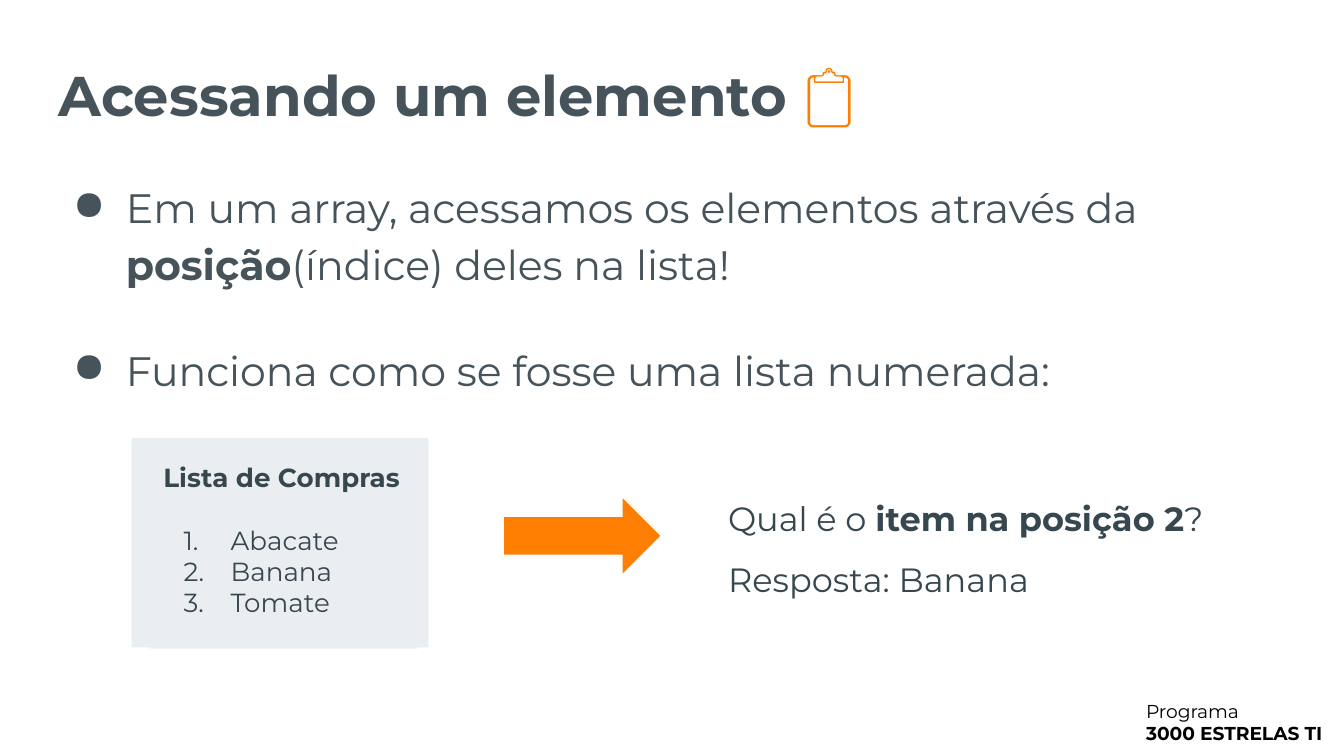
import pptx
import pptx.dml.color
import pptx.enum.shapes
import pptx.enum.text
import pptx.oxml
import pptx.oxml.ns
import pptx.util
from pptx.util import Cm

RGBColor = pptx.dml.color.RGBColor
Pt = pptx.util.Pt
Shape = pptx.enum.shapes.MSO_SHAPE
Anchor = pptx.enum.text.MSO_ANCHOR

SLATE = RGBColor(0x46, 0x53, 0x5B)
DARK = RGBColor(0x37, 0x47, 0x4F)
ORANGE = RGBColor(0xFE, 0x7E, 0x02)
PALE = RGBColor(0xEA, 0xEE, 0xF0)
BLACK = RGBColor(0, 0, 0)
FONT = "Montserrat"
INSET = Cm(0.25)

DOT = '<a:buChar {} char="●"/>'
NUMBER = '<a:buAutoNum {} type="arabicPeriod"/>'


def set_values(target, values):
    for name, value in values.items():
        setattr(target, name, value)


def add_bullet(paragraph, bullet, color, hanging):
    """Give the paragraph a coloured marker and a hanging indent."""
    properties = paragraph._p.get_or_add_pPr()
    properties.set("marL", str(Cm(1.27)))
    properties.set("indent", str(-hanging))
    namespace = pptx.oxml.ns.nsdecls("a")
    color_xml = f'<a:buClr {namespace}><a:srgbClr val="{color}"/></a:buClr>'
    for xml in (color_xml, bullet.format(namespace)):
        properties.append(pptx.oxml.parse_xml(xml))


def write_paragraph(frame, runs, size, color, spacing=None, bullet=None, hanging=0):
    """Write runs, each a text with a dict of font values, as the next paragraph."""
    paragraph = frame.paragraphs[0]
    if paragraph.runs:
        paragraph = frame.add_paragraph()
    set_values(paragraph, {"alignment": pptx.enum.text.PP_ALIGN.LEFT, **(spacing or {})})
    if bullet:
        add_bullet(paragraph, bullet, color, hanging)
    for text, values in runs:
        run = paragraph.add_run()
        run.text = text
        values = {"name": FONT, "size": Pt(size), "bold": False, "color": color, **values}
        run.font.color.rgb = values.pop("color")
        set_values(run.font, values)


def prepare_frame(shape, **values):
    frame = shape.text_frame
    margins = {f"margin_{side}": INSET for side in ("left", "top", "right", "bottom")}
    set_values(frame, {"word_wrap": True, "vertical_anchor": Anchor.TOP, **margins, **values})
    return frame


def add_text(slide, left, top, width, height, **values):
    box = slide.shapes.add_textbox(Cm(left), Cm(top), Cm(width), Cm(height))
    return prepare_frame(box, **values)


def add_block(shapes, kind, color, left, top, width, height):
    shape = shapes.add_shape(kind, Cm(left), Cm(top), Cm(width), Cm(height))
    shape.shadow.inherit = False
    shape.fill.solid()
    shape.fill.fore_color.rgb = color
    shape.line.fill.background()
    return shape


def add_footer(slide):
    frame = add_text(slide, 21.41, 12.98, 3.98, 1.3, word_wrap=False)
    write_paragraph(frame, [("Programa", {})], 10, BLACK)
    write_paragraph(frame, [("3000 ESTRELAS TI", {"bold": True})], 10, BLACK)


def add_title(slide):
    frame = add_text(slide, 0.86, 0.36, 21.77, 2.72, vertical_anchor=Anchor.MIDDLE)
    runs = [("Acessando um elemento", {}), (" 📋", {"size": Pt(34), "color": ORANGE})]
    write_paragraph(frame, [(text, {"bold": True, **values}) for text, values in runs], 30, SLATE)


def add_explanation(slide):
    frame = add_text(slide, 0.86, 3.07, 22.66, 10.11)
    points = [
        [
            ("Em um array, acessamos os elementos através da ", {}),
            ("posição", {"bold": True}),
            ("(índice) deles na lista!", {}),
        ],
        [("Funciona como se fosse uma lista numerada:", {})],
    ]
    for index, runs in enumerate(points):
        spacing = {"line_spacing": 1.15, "space_before": Pt(26.5 * index)}
        write_paragraph(frame, runs, 22, SLATE, spacing, DOT, Cm(1))


def add_shopping_list(slide):
    group = slide.shapes.add_group_shape()
    add_block(group.shapes, Shape.RECTANGLE, PALE, 2.49, 8.28, 5.61, 3.96)
    card = add_block(group.shapes, Shape.RECTANGLE, PALE, 2.84, 8.48, 5.05, 3.78)
    frame = prepare_frame(card)
    heading = [("Lista de Compras", {"bold": True})]
    write_paragraph(frame, heading, 14, DARK, {"space_after": Pt(16.5)})
    for item in ("Abacate", "Banana", "Tomate"):
        write_paragraph(frame, [(item, {})], 14, DARK, bullet=NUMBER, hanging=Cm(0.89))


def add_answer(slide):
    frame = add_text(slide, 13.51, 8.79, 9.73, 2.44)
    question = [("Qual é o ", {}), ("item na posição 2", {"bold": True}), ("?", {})]
    for runs in (question, [("Resposta: Banana", {})]):
        write_paragraph(frame, runs, 18, DARK, {"line_spacing": 1.5})


def main():
    presentation = pptx.Presentation()
    set_values(presentation, {"slide_width": Cm(25.4), "slide_height": Cm(14.29)})
    slide = presentation.slides.add_slide(presentation.slide_layouts[6])
    add_footer(slide)
    add_explanation(slide)
    add_title(slide)
    add_shopping_list(slide)
    add_block(slide.shapes, Shape.RIGHT_ARROW, ORANGE, 9.53, 9.42, 2.95, 1.42)
    add_answer(slide)
    presentation.save("out.pptx")


if __name__ == "__main__":
    main()
